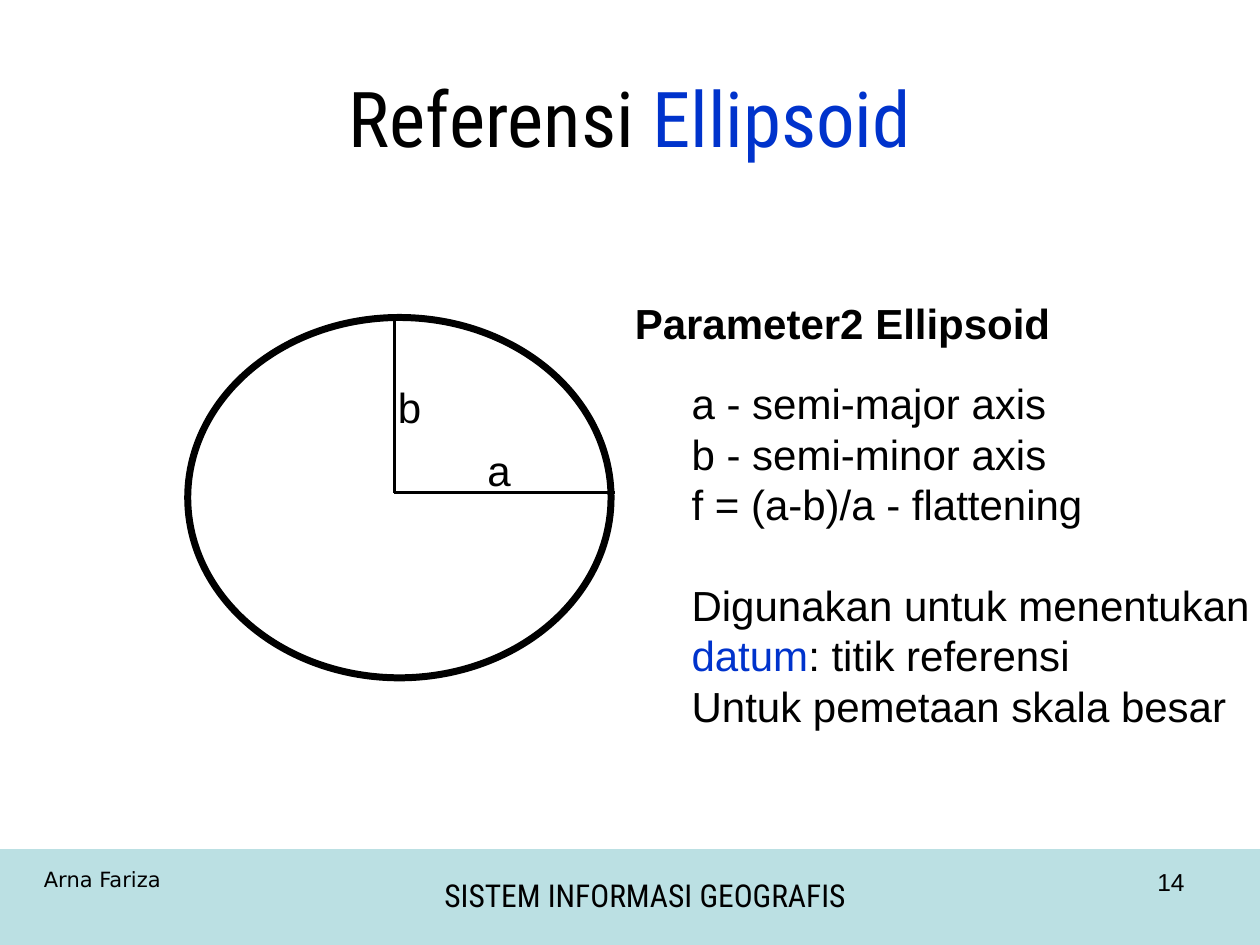
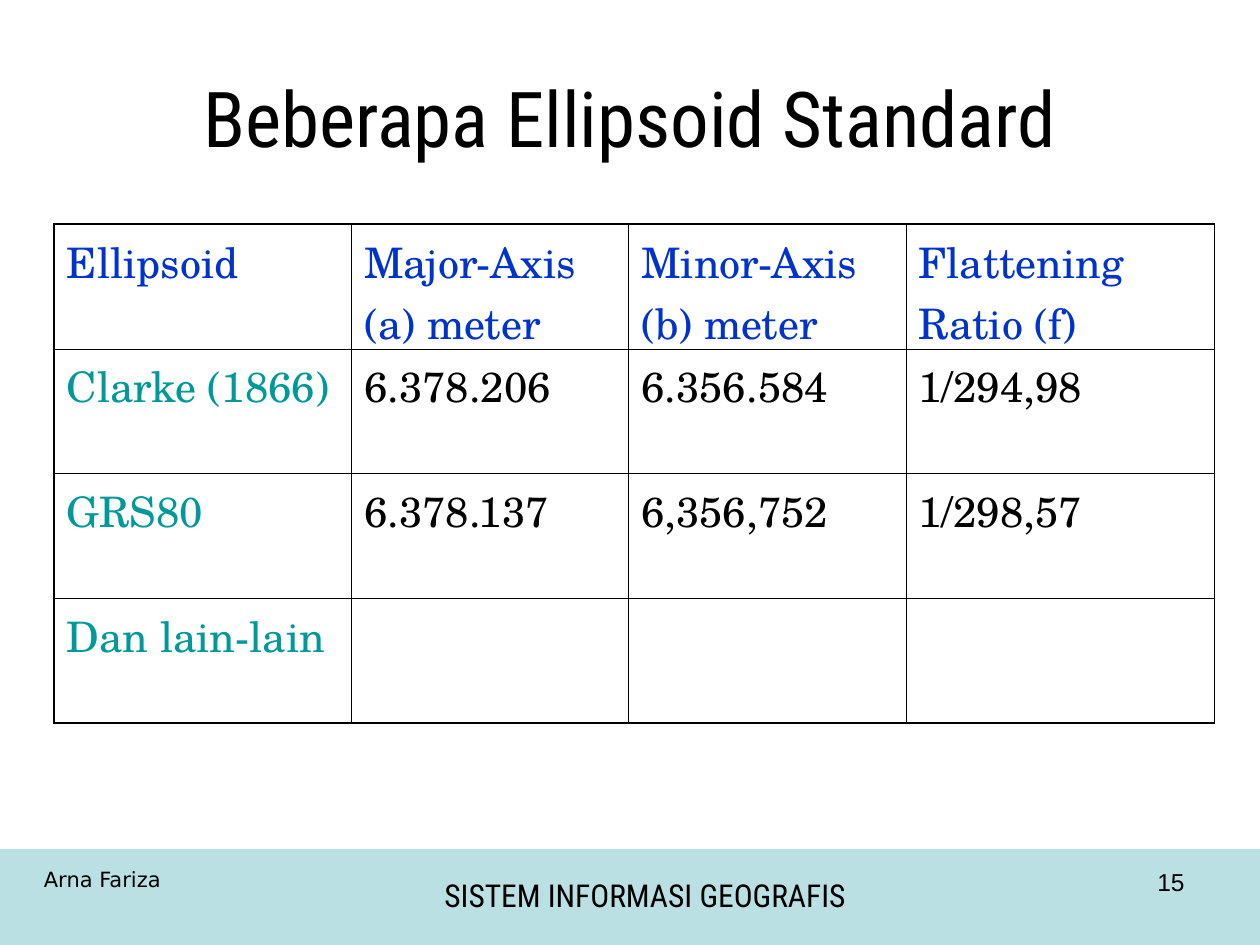
import pptx
import pptx.util
import pptx.dml.color
import pptx.enum.shapes
import pptx.enum.text
import pptx.oxml
import lxml.etree
import dataclasses

Inches = pptx.util.Inches
Pt = pptx.util.Pt
ALIGN = pptx.enum.text.PP_ALIGN
SHAPE = pptx.enum.shapes.MSO_SHAPE
NS = "http://schemas.openxmlformats.org/drawingml/2006/main"


@dataclasses.dataclass(frozen=True)
class Theme:
    ink: str = "000000"
    paper: str = "FFFFFF"
    band: str = "BBE0E3"
    blue: str = "0033CC"
    teal: str = "009999"
    head: str = "Roboto Condensed"
    body: str = "Arial"
    name: str = "DejaVu Sans"
    grid: str = "TeX Gyre Schola"
    title: int = 44
    text: int = 24
    foot: int = 18
    page: int = 14
    small: int = 12
    edge: float = 1.08
    rule: float = 0.45
    lead: float = 1.2


THEME = Theme()


def rgb(code):
    return pptx.dml.color.RGBColor.from_string(code)


def style(para, face, size, code=THEME.ink, align=ALIGN.LEFT):
    para.alignment = align
    para.font.name = face
    para.font.size = Pt(size)
    para.font.color.rgb = rgb(code)
    if face == THEME.body:
        para.line_spacing = Pt(size * THEME.lead)


def fill_runs(para, runs):
    for words, code in runs:
        run = para.add_run()
        run.text = words
        if code:
            run.font.color.rgb = rgb(code)


def add_text(slide, box, lines, face=THEME.body, size=THEME.text, align=ALIGN.LEFT):
    frame = slide.shapes.add_textbox(*map(Inches, box)).text_frame
    frame.word_wrap = True
    for row, runs in enumerate(lines):
        para = frame.add_paragraph() if row else frame.paragraphs[0]
        fill_runs(para, runs)
        style(para, face, size, align=align)
    return frame.paragraphs


def add_shape(slide, kind, box, code):
    shape = slide.shapes.add_shape(kind, *map(Inches, box))
    shape.shadow.inherit = False
    shape.fill.solid()
    shape.fill.fore_color.rgb = rgb(code)
    shape.line.fill.background()
    return shape


def add_line(slide, start, end):
    line = slide.shapes.add_connector(
        pptx.enum.shapes.MSO_CONNECTOR.STRAIGHT, *map(Inches, start + end))
    line.line.color.rgb = rgb(THEME.ink)
    line.line.width = Pt(2)
    lxml.etree.SubElement(line._element.spPr, f"{{{NS}}}effectLst")


def add_foot(slide, box, number):
    left, top, width, height = box
    add_shape(slide, SHAPE.RECTANGLE, box, THEME.band)
    add_text(slide, (left + 2.01, top + 0.16, 6.22, 0.4),
             [[("SISTEM INFORMASI GEOGRAFIS", None)]],
             THEME.head, THEME.foot, ALIGN.CENTER)
    add_text(slide, (left + 0.25, top + 0.09, 1.42, 0.3),
             [[("Arna Fariza", None)]], THEME.name, THEME.small)
    add_text(slide, (left + width - 2.83, top + 0.09, 2.33, 0.52),
             [[(str(number), None)]], size=THEME.page, align=ALIGN.RIGHT)


def new_slide(deck, number, runs):
    slide = deck.slides.add_slide(deck.slide_layouts[5])
    add_foot(slide, (0, 6.74, 10, 0.76), number)
    title = slide.shapes.title
    title.left, title.top, title.width, title.height = map(Inches, (0.5, 0.3, 9, 1.25))
    title.text_frame.vertical_anchor = pptx.enum.text.MSO_ANCHOR.MIDDLE
    para = title.text_frame.paragraphs[0]
    fill_runs(para, runs)
    style(para, THEME.head, THEME.title, align=ALIGN.CENTER)
    return slide


def add_figure(slide, box):
    left, top, width, height = box
    oval = add_shape(slide, SHAPE.OVAL, box, THEME.paper)
    oval.line.color.rgb = rgb(THEME.ink)
    oval.line.width = Pt(4)
    centre = (left + 1.64, top + 1.39)
    add_line(slide, (centre[0], top - 0.02), centre)
    add_line(slide, centre, (left + width + 0.03, centre[1]))
    add_text(slide, (left + 1.57, top + 0.46, 0.45, 0.5), [[("b", None)]])
    add_text(slide, (left + 2.28, top + 0.96, 0.4, 0.5), [[("a", None)]])


def add_notes(slide, box):
    left, top, width, height = box
    head = add_text(slide, (left, top, 3.6, 0.5), [[("Parameter2 Ellipsoid", None)]])
    head[0].font.bold = True
    lines = [
        [("a - semi-major axis", None)],
        [("b - semi-minor axis", None)],
        [("f = (a-b)/a - flattening", None)],
        [("Digunakan untuk menentukan", None)],
        [("datum", THEME.blue), (": titik referensi", None)],
        [("Untuk pemetaan skala besar", None)],
    ]
    paras = add_text(slide, (left + 0.45, top + 0.64, width - 0.45, height - 0.64), lines)
    paras[3].space_before = Pt(THEME.text * THEME.lead)


def set_edges(cell, outer):
    props = cell._tc.get_or_add_tcPr()
    for side in "LRTB":
        width = Pt(THEME.edge if side in outer else THEME.rule)
        props.append(pptx.oxml.parse_xml(
            f'<a:ln{side} xmlns:a="{NS}" w="{width}"><a:solidFill>'
            f'<a:srgbClr val="{THEME.ink}"/></a:solidFill></a:ln{side}>'))


def add_grid(slide, box, widths, data):
    rows, cols = len(data), len(widths)
    table = slide.shapes.add_table(rows, cols, *map(Inches, box)).table
    for col, width in zip(table.columns, widths):
        col.width = Inches(width)
    for row, words in enumerate(data):
        table.rows[row].height = Inches(box[3] / rows)
        for col, word in enumerate(words):
            cell = table.cell(row, col)
            ends = {"T": row == 0, "B": row == rows - 1,
                    "L": col == 0, "R": col == cols - 1}
            set_edges(cell, [side for side, hit in ends.items() if hit])
            cell.fill.background()
            cell.text = word
            code = THEME.blue if row == 0 else THEME.teal if col == 0 else THEME.ink
            para = cell.text_frame.paragraphs[0]
            style(para, THEME.grid, THEME.text, code)
            para.font.bold = False


def main():
    deck = pptx.Presentation()
    deck.slide_width, deck.slide_height = Inches(10), Inches(7.5)

    slide = new_slide(deck, 14, [("Referensi ", None), ("Ellipsoid", THEME.blue)])
    add_figure(slide, (1.49, 2.52, 3.36, 2.86))
    add_notes(slide, (4.94, 2.31, 5.17, 3.54))

    slide = new_slide(deck, 15, [("Beberapa Ellipsoid Standard", None)])
    add_grid(slide, (0.43, 1.78, 9.21, 3.96), (2.36, 2.2, 2.2, 2.45), [
        ("Ellipsoid", "Major-Axis (a) meter", "Minor-Axis (b) meter", "Flattening Ratio (f)"),
        ("Clarke (1866)", "6.378.206", "6.356.584", "1/294,98"),
        ("GRS80", "6.378.137", "6,356,752", "1/298,57"),
        ("Dan lain-lain", "", "", ""),
    ])
    deck.save("out.pptx")


if __name__ == "__main__":
    main()
